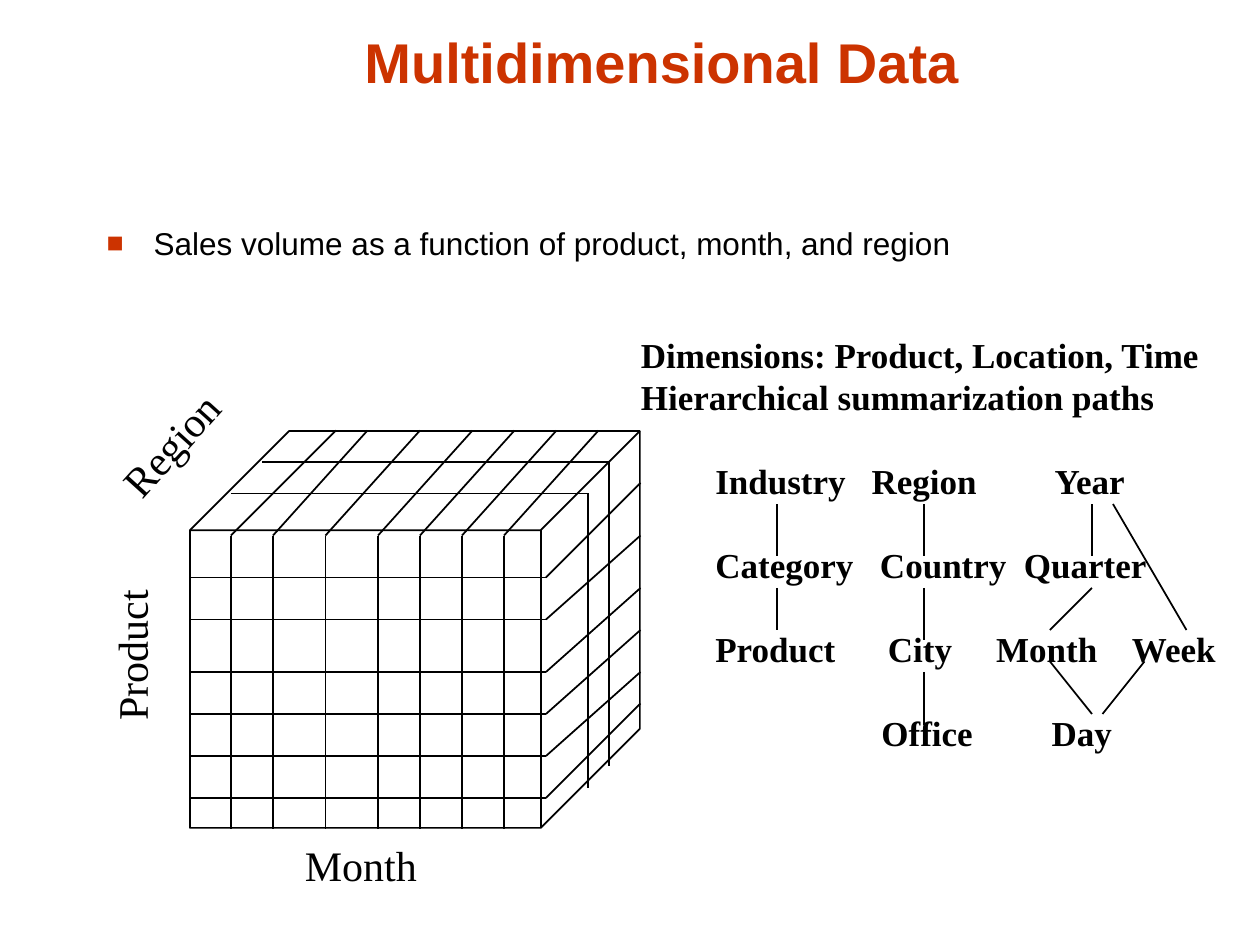
from lxml import etree
from pptx import Presentation
from pptx import util as u
from pptx.dml.color import RGBColor
from pptx.enum import shapes, text
from pptx.oxml.ns import qn

COLORS = {"accent": "CC3300", "ink": "000000"}
SERIF = "Times New Roman"
PITCH = u.Cm(2.54) // 12


class Sheet:
    """Drawing style and the page it is applied to."""

    def __init__(self, page):
        self.page = page

    def color(self, name):
        return RGBColor.from_string(COLORS[name])

    def stroke(self, line):
        line.color.rgb = self.color("ink")
        line.width = u.Pt(1)

    def line(self, *ends):
        link = self.page.shapes.add_connector(
            shapes.MSO_CONNECTOR.STRAIGHT, *(PITCH * end for end in ends))
        self.stroke(link.line)
        etree.SubElement(link._element.spPr, qn("a:effectLst"))

    def cube(self, *place):
        solid = self.page.shapes.add_shape(
            shapes.MSO_SHAPE.CUBE, *map(u.Cm, place))
        solid.shadow.inherit = False
        solid.fill.background()
        self.stroke(solid.line)

    def bullet(self, para):
        props = para._p.get_or_add_pPr()
        props.set("marL", str(u.Cm(0.95)))
        props.set("indent", str(-u.Cm(0.95)))
        tint = etree.SubElement(props, qn("a:buClr"))
        etree.SubElement(tint, qn("a:srgbClr"), val=COLORS["accent"])
        etree.SubElement(props, qn("a:buSzPct"), val="90000")
        etree.SubElement(props, qn("a:buFont"), typeface="Arial")
        etree.SubElement(props, qn("a:buChar"), char="■")

    def tabs(self, para, stops):
        stop_list = etree.SubElement(para._p.get_or_add_pPr(), qn("a:tabLst"))
        for stop in stops:
            etree.SubElement(stop_list, qn("a:tab"), pos=str(u.Cm(stop)), algn="l")

    def text(self, place, lines, size, font=SERIF, color="ink", bold=False,
             align="LEFT", anchor="TOP", wrap=True, rotation=0, bullet=False,
             stops=(), leading=None, gap=0):
        box = self.page.shapes.add_textbox(*map(u.Cm, place))
        box.rotation = rotation
        frame = box.text_frame
        frame.word_wrap = wrap
        frame.vertical_anchor = getattr(text.MSO_ANCHOR, anchor)
        frame.text = "\n".join(lines)
        for index, para in enumerate(frame.paragraphs):
            if bullet:
                self.bullet(para)
            if stops:
                self.tabs(para, stops[index])
            para.alignment = getattr(text.PP_ALIGN, align)
            if leading:
                para.line_spacing = u.Pt(leading)
            if index and gap:
                para.space_before = u.Pt(gap)
            para.font.name = font
            para.font.size = u.Pt(size)
            para.font.bold = bold
            para.font.color.rgb = self.color(color)


def draw_cube(sheet):
    sheet.cube(3.83, 8.69, 9.07, 8)
    for front, back in zip((55, 59, 64, 68, 72, 76), (46, 51, 56, 60, 64, 67)):
        sheet.line(18, front, 52, front)
        sheet.line(52, front, 61, back)
    for front, back in zip((22, 26, 31, 36, 40, 44, 48),
                           (32, 35, 40, 45, 49, 53, 57)):
        sheet.line(front, 51, front, 79)
        sheet.line(front, 51, back, 41)
    for left, top, right, bottom in ((25, 44, 58, 73), (22, 47, 56, 75)):
        sheet.line(left, top, right, top)
        sheet.line(right, top, right, bottom)
    for label, place, rotation in (
            ("Product", (1.07, 12.57, 3.15, 1.27), 270),
            ("Region", (1.97, 8.32, 2.95, 1.27), 312),
            ("Month", (5.89, 16.79, 2.77, 1.27), 0)):
        sheet.text(place, [label], 24, align="CENTER", wrap=False,
                   rotation=rotation)


def draw_hierarchies(sheet):
    sheet.text((12.67, 6.6, 11.81, 1.96),
               ["Dimensions: Product, Location, Time",
                "Hierarchical summarization paths"],
               20, bold=True, leading=24)
    sheet.text((14.17, 9.14, 10.67, 6.2),
               ["Industry\tRegion\tYear", "Category\tCountry\tQuarter",
                "Product\tCity\tMonth\tWeek", "\tOffice\tDay"],
               20, bold=True, leading=24, gap=24,
               stops=((3.15, 6.84), (3.32, 6.22), (3.48, 5.66, 8.4),
                      (3.35, 6.78)))
    for column, top, bottom in ((74, 48, 53), (74, 56, 60), (88, 48, 53),
                                (88, 56, 61), (88, 64, 69), (104, 48, 53)):
        sheet.line(column, top, column, bottom)
    for ends in ((104, 56, 100, 60), (106, 48, 113, 60),
                 (100, 63, 104, 68), (109, 63, 105, 68)):
        sheet.line(*ends)


def main():
    deck = Presentation()
    deck.slide_width, deck.slide_height = u.Cm(25.4), u.Cm(19.05)
    sheet = Sheet(deck.slides.add_slide(deck.slide_layouts[6]))
    sheet.text((2.13, 0.33, 22.43, 1.7), ["Multidimensional Data"], 32,
               font="Arial", color="accent", bold=True, align="CENTER",
               anchor="BOTTOM")
    sheet.text((1.9, 4.39, 22.23, 12.7),
               ["Sales volume as a function of product, month, and region"],
               18, font="Arial", bullet=True)
    draw_cube(sheet)
    draw_hierarchies(sheet)
    deck.save("out.pptx")


if __name__ == "__main__":
    main()
